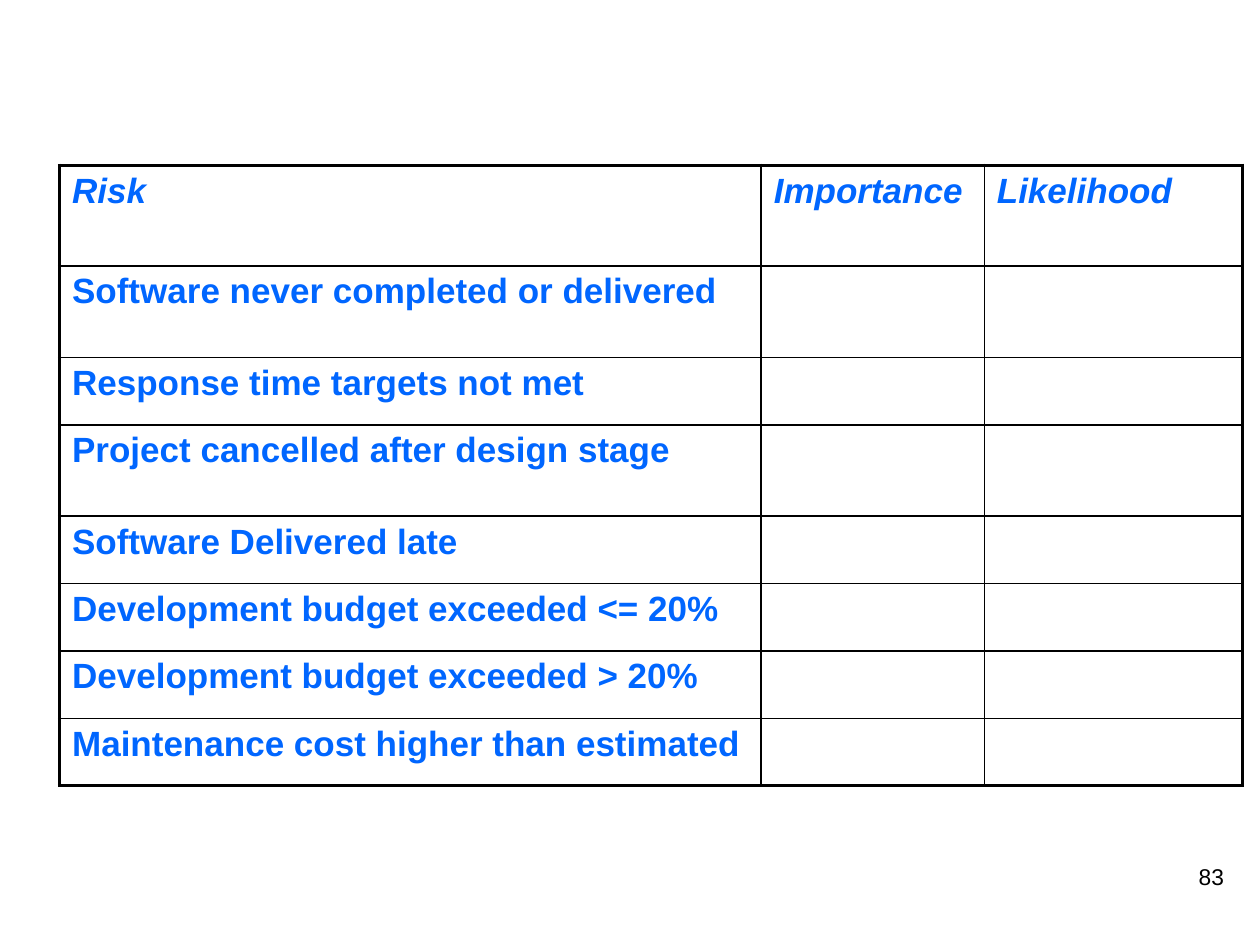
from lxml.etree import SubElement
from pptx import Presentation
from pptx.dml.color import RGBColor
from pptx.enum.text import PP_ALIGN as Align
from pptx.oxml.ns import qn
from pptx.util import Pt

HEADINGS = ["Risk", "Importance", "Likelihood"]
RISKS = [
    "Software never completed or delivered",
    "Response time targets not met",
    "Project cancelled after design stage",
    "Software Delivered late",
    "Development budget exceeded <= 20%",
    "Development budget exceeded > 20%",
    "Maintenance cost higher than estimated",
]
COLUMN_WIDTHS = [401, 127.5, 147.5]
HEADING_HEIGHT, TALL, SHORT = 57.5, 52.25, 38.5
ROW_HEIGHTS = [HEADING_HEIGHT, TALL, SHORT, TALL] + [SHORT] * 4
OUTER_LINE, INNER_LINE = 2.25, 1
RISK_FORMAT = {"name": "Arial", "size": Pt(20), "bold": True, "italic": False}
HEADING_FORMAT = {**RISK_FORMAT, "italic": True}
NUMBER_FORMAT = {"name": "Arial", "size": Pt(13)}


def color(value):
    """Turn a hex string into a colour."""
    return RGBColor.from_string(value)


def format_font(font, formats, value):
    """Apply the format values and a colour to a font."""
    for name, setting in formats.items():
        setattr(font, name, setting)
    font.color.rgb = color(value)


def add_border(cell, side, width):
    """Draw a black line on one side of a cell."""
    properties = cell._tc.get_or_add_tcPr()
    line = SubElement(properties, qn(f"a:ln{side}"), w=str(Pt(width)))
    fill = SubElement(line, qn("a:solidFill"))
    SubElement(fill, qn("a:srgbClr"), val="000000")


def format_cell(cell, text, formats, edges):
    """Write a cell's text and draw its borders, thick on the outer edges."""
    for side, is_outer in edges.items():
        add_border(cell, side, OUTER_LINE if is_outer else INNER_LINE)
    cell.fill.background()
    para = cell.text_frame.paragraphs[0]
    format_font(para.font, formats, "0066FF")
    if text:
        span = para.add_run()
        span.text = text
        format_font(span.font, formats, "0066FF")


def add_risk_table(page):
    """Add the table of risks with blank rating columns."""
    rows = [HEADINGS] + [[risk, "", ""] for risk in RISKS]
    frame = page.shapes.add_table(
        len(rows), len(HEADINGS), Pt(34), Pt(94.5),
        Pt(sum(COLUMN_WIDTHS)), Pt(sum(ROW_HEIGHTS)))
    table = frame.table
    table.horz_banding = False
    for column, width in zip(table.columns, COLUMN_WIDTHS):
        column.width = Pt(width)
    for row, height in zip(table.rows, ROW_HEIGHTS):
        row.height = Pt(height)
    for r, texts in enumerate(rows):
        formats = RISK_FORMAT if r else HEADING_FORMAT
        for c, text in enumerate(texts):
            edges = {"L": c == 0, "R": c == len(texts) - 1,
                     "T": r == 0, "B": r == len(rows) - 1}
            format_cell(table.cell(r, c), text, formats, edges)


def add_page_number(page, number):
    """Add the right-aligned page number."""
    box = page.shapes.add_textbox(Pt(556.5), Pt(489.5), Pt(150), Pt(36))
    box.text_frame.word_wrap = True
    para = box.text_frame.paragraphs[0]
    para.alignment = Align.RIGHT
    span = para.add_run()
    span.text = number
    format_font(span.font, NUMBER_FORMAT, "000000")


def main():
    """Build the slide and save the deck."""
    deck = Presentation()
    deck.slide_width, deck.slide_height = Pt(720), Pt(540)
    page = deck.slides.add_slide(deck.slide_layouts[6])
    add_page_number(page, "83")
    add_risk_table(page)
    deck.save("out.pptx")


if __name__ == "__main__":
    main()
